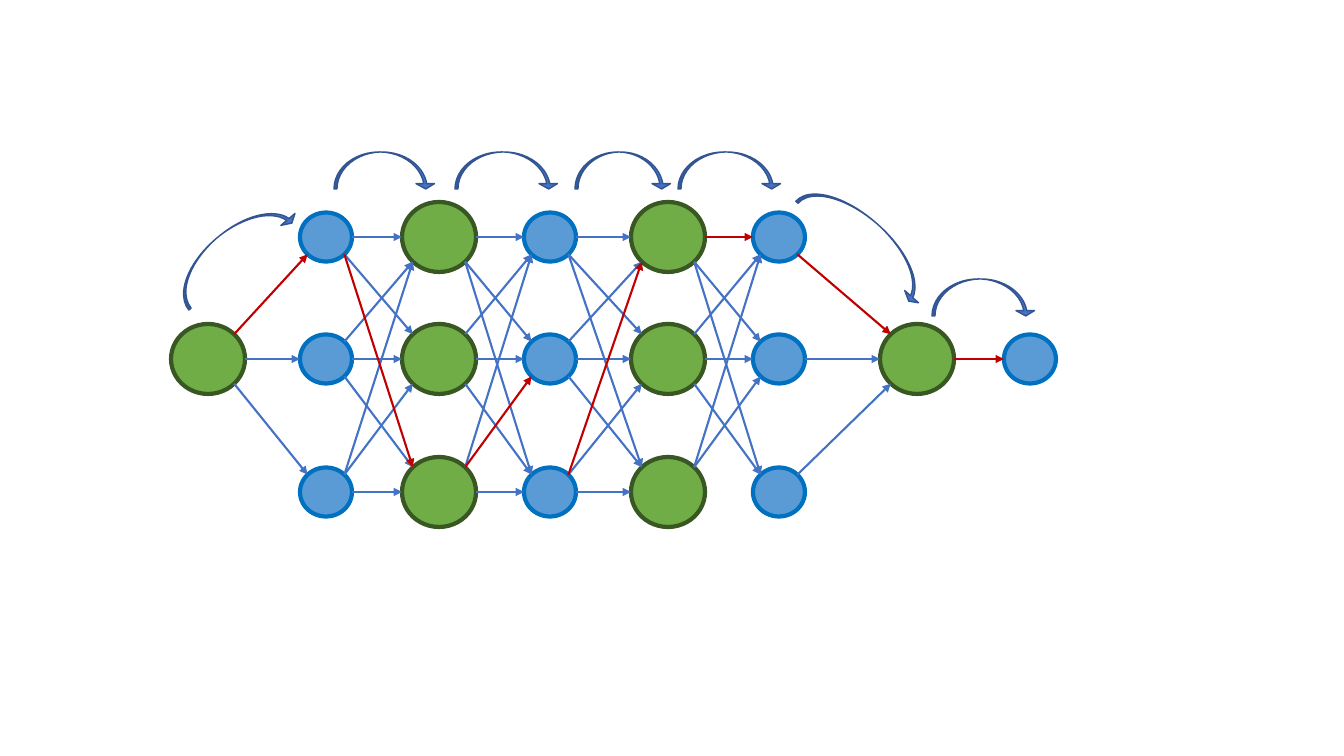
from math import sqrt
from lxml import etree
from pptx import Presentation
from pptx.dml.color import RGBColor
from pptx.enum.shapes import MSO_CONNECTOR, MSO_SHAPE
from pptx.oxml.ns import qn
from pptx.util import Pt

OVAL, ARC = MSO_SHAPE.OVAL, MSO_SHAPE.CURVED_DOWN_ARROW
LINE = MSO_CONNECTOR.STRAIGHT

COLORS = {
    "green": "70AD47", "green rim": "385723",
    "blue": "5B9BD5", "blue rim": "0070C0",
    "arc": "4472C4", "arc rim": "325491",
    "edge": "4472C4", "best": "C00000",
}
SIZES = {"green": (74, 70), "blue": (52, 49)}
ROWS = [237, 359, 492]
# Each layer: kind, centre x, rows in use
LAYERS = [
    ("green", 208, [1]),
    ("blue", 326, [0, 1, 2]),
    ("green", 439, [0, 1, 2]),
    ("blue", 550, [0, 1, 2]),
    ("green", 668, [0, 1, 2]),
    ("blue", 779, [0, 1, 2]),
    ("green", 917, [1]),
    ("blue", 1030, [1]),
]
# Row of the best path in each layer
BEST = [1, 0, 2, 1, 0, 0, 1, 1] 
# Red edges: layer, from row, to row
RED = {(0, 1, 0), (1, 0, 2), (2, 2, 1), (3, 2, 0),
       (4, 0, 0), (5, 0, 1), (6, 1, 1)}
MISSING = {(4, 2, 2)}
# Arcs: left, top, width, turn in degrees
ARCS = [
    (334, 152, 101, 0),
    (160, 231, 144, 319.8),
    (455, 152, 103, 0),
    (575, 152, 96, 0),
    (678, 152, 103, 0),
    (932, 279, 103, 0),
    (788, 222, 160, 41.5),
]
ARC_H = 37
BENDS = (0.081, 0.5, 0.143)
SCALE = 914400 / 100.8


def px(n):
    return round(n * SCALE)


def rgb(name):
    return RGBColor.from_string(COLORS[name])


def add_form(slide, form, box, kind, rim):
    shape = slide.shapes.add_shape(form, *map(px, box))
    shape.shadow.inherit = False
    shape.fill.solid()
    shape.fill.fore_color.rgb = rgb(kind)
    shape.line.color.rgb = rgb(kind + " rim")
    shape.line.width = Pt(rim)
    return shape


def port(layer, row, side, slope):
    """Point on a node's rim: side is 1 right or -1 left, slope is -1 up, 0 or 1 down."""
    kind, x, _ = LAYERS[layer]
    w, h = SIZES[kind]
    k = 1 / sqrt(2) if slope else 1
    return x + side * k * w / 2, ROWS[row] + slope * k * h / 2


def add_edge(slide, layer, start, end, color):
    slope = (end > start) - (end < start)
    ends = port(layer, start, 1, slope) + port(layer + 1, end, -1, -slope)
    edge = slide.shapes.add_connector(LINE, *map(px, ends))
    edge.line.color.rgb = rgb(color)
    edge.line.width = Pt(1.5)
    tail = etree.SubElement(edge.line._get_or_add_ln(), qn("a:tailEnd"))
    tail.set("type", "triangle")
    etree.SubElement(edge._element.spPr, qn("a:effectLst"))


def main():
    deck = Presentation()
    deck.slide_width, deck.slide_height = px(1344), px(756)
    slide = deck.slides.add_slide(deck.slide_layouts[6])

    for kind, x, rows in LAYERS:
        w, h = SIZES[kind]
        for row in rows:
            add_form(slide, OVAL, (x - w / 2, ROWS[row] - h / 2, w, h), kind, 3)

    for x, y, w, turn in ARCS:
        arc = add_form(slide, ARC, (x, y, w, ARC_H), "arc", 1)
        arc.rotation = turn
        for i, bend in enumerate(BENDS):
            arc.adjustments[i] = bend

    edges = [(i, a, b) for i in range(len(LAYERS) - 1)
             for a in LAYERS[i][2] for b in LAYERS[i + 1][2]]
    for edge in edges:
        if edge not in RED | MISSING:
            add_edge(slide, *edge, "edge")
    for edge in sorted(RED):
        add_edge(slide, *edge, "best")

    deck.save("out.pptx")


if __name__ == "__main__":
    main()
